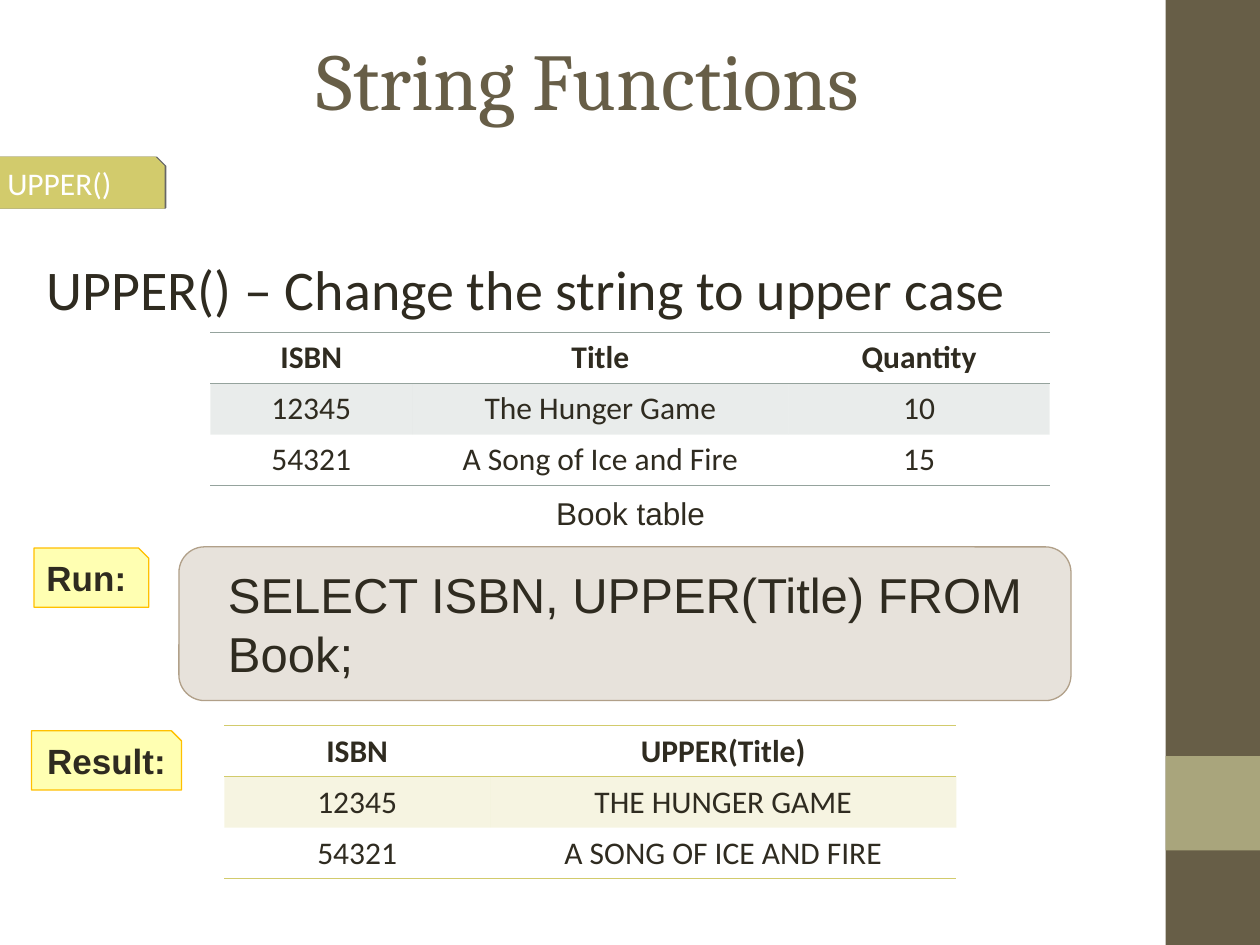
from lxml.etree import SubElement
from pptx import Presentation
from pptx.dml.color import RGBColor
from pptx.enum.shapes import MSO_SHAPE
from pptx.enum.text import MSO_ANCHOR, PP_ALIGN
from pptx.oxml import parse_xml
from pptx.oxml.ns import nsdecls, qn
from pptx.util import Inches, Pt

BROWN = RGBColor(0x67, 0x5E, 0x47)
SAGE = RGBColor(0xA9, 0xA5, 0x7C)
OLIVE = RGBColor(0xD2, 0xCB, 0x6C)
GREY_GREEN = RGBColor(0x95, 0xA3, 0x9D)
TAN = RGBColor(0xB1, 0xA0, 0x89)
YELLOW = RGBColor(0xFF, 0xFF, 0x00)
AMBER = RGBColor(0xFF, 0xC0, 0x00)
INK = RGBColor(0x2F, 0x2B, 0x20)
WHITE = RGBColor(0xFF, 0xFF, 0xFF)

NO_TABLE_STYLE = "{2D5ABB26-0587-4C30-8999-92F81FD0307C}"


def write(frame, text, size=18, font="Calibri", color=INK, bold=False,
          align=PP_ALIGN.LEFT, anchor=MSO_ANCHOR.MIDDLE, inset=0.1):
    frame.word_wrap = True
    frame.vertical_anchor = anchor
    frame.margin_left = Inches(inset)
    paragraph = frame.paragraphs[0]
    paragraph.alignment = align
    run = paragraph.add_run()
    run.text = text
    run.font.size = Pt(size)
    run.font.name = font
    run.font.bold = bold
    run.font.color.rgb = color


def add_text(slide, box, text, **style):
    label = slide.shapes.add_textbox(*map(Inches, box))
    write(label.text_frame, text, **style)


def set_fill(fill, color, opacity=100):
    fill.solid()
    fill.fore_color.rgb = color
    if opacity < 100:
        for color_node in fill._xPr.iter(qn("a:srgbClr")):
            SubElement(color_node, qn("a:alpha"), val=str(opacity * 1000))


def paint(shape, color, opacity=100, line=None, line_width=0.75):
    shape.shadow.inherit = False
    set_fill(shape.fill, color, opacity)
    if line is None:
        shape.line.fill.background()
    else:
        shape.line.color.rgb = line
        shape.line.width = Pt(line_width)


def add_block(slide, kind, box, color, **look):
    block = slide.shapes.add_shape(kind, *map(Inches, box))
    paint(block, color, **look)
    return block


def add_snipped_tag(slide, box, snip, color, **look):
    """Rectangle whose top right corner is cut off."""
    left, top, width, height = box
    right, bottom = left + width, top + height
    outline = slide.shapes.build_freeform(
        Inches(left), Inches(top), scale=1.0)
    corners = [(right - snip, top), (right, top + snip),
               (right, bottom), (left, bottom)]
    outline.add_line_segments(
        [(Inches(x), Inches(y)) for x, y in corners], close=True)
    tag = outline.convert_to_shape()
    paint(tag, color, **look)
    return tag


def add_right_shadow(shape):
    effects = shape._element.spPr.find(qn("a:effectLst"))
    effects.append(parse_xml(
        f'<a:outerShdw {nsdecls("a")} dist="{Pt(1)}" dir="0">'
        '<a:srgbClr val="000000"><a:alpha val="60000"/></a:srgbClr>'
        '</a:outerShdw>'))


def set_borders(cell, color, visible):
    properties = cell._tc.get_or_add_tcPr()
    for position, side in enumerate(("lnL", "lnR", "lnT", "lnB")):
        stroke = (f'<a:solidFill><a:srgbClr val="{color}"/></a:solidFill>'
                  if side in visible else '<a:noFill/>')
        properties.insert(position, parse_xml(
            f'<a:{side} {nsdecls("a")} w="{Pt(0.45)}">{stroke}</a:{side}>'))


def add_ruled_table(slide, left, top, column_widths, rows, color):
    row_height = 0.405
    frame = slide.shapes.add_table(
        len(rows), len(column_widths), Inches(left), Inches(top),
        Inches(sum(column_widths)), Inches(row_height * len(rows)))
    table = frame.table
    for style_id in table._tbl.iter(qn("a:tableStyleId")):
        style_id.text = NO_TABLE_STYLE
    for column, width in zip(table.columns, column_widths):
        column.width = Inches(width)
    for r, row in enumerate(rows):
        table.rows[r].height = Inches(row_height)
        # Rules above and below the header, and under the last row
        sides = {0: ("lnT", "lnB"), 1: ("lnT",)}.get(r, ())
        if r == len(rows) - 1:
            sides += ("lnB",)
        for c, text in enumerate(row):
            cell = table.cell(r, c)
            write(cell.text_frame, text, bold=r == 0,
                  align=PP_ALIGN.CENTER, anchor=MSO_ANCHOR.TOP)
            set_borders(cell, color, sides)
            if r % 2:
                set_fill(cell.fill, color, 20)
            else:
                cell.fill.background()


def main():
    deck = Presentation()
    deck.slide_width, deck.slide_height = Inches(10), Inches(7.5)
    slide = deck.slides.add_slide(deck.slide_layouts[6])

    # Side band
    add_block(slide, MSO_SHAPE.RECTANGLE, (9.25, 0, 0.75, 7.5), BROWN)
    add_block(slide, MSO_SHAPE.RECTANGLE, (9.25, 6, 0.75, 0.75), SAGE)

    # Heading, function tag and description
    add_text(slide, (0.5, 0, 8.33, 1.25), "String Functions", size=46,
             font="Cambria", color=BROWN, align=PP_ALIGN.CENTER)
    function_tag = add_snipped_tag(slide, (-0.04, 1.25, 1.34, 0.4), 0.07,
                                   OLIVE, line=OLIVE, line_width=1)
    add_right_shadow(function_tag)
    write(function_tag.text_frame, "UPPER()", color=WHITE)
    add_text(slide, (0.27, 1.97, 9.47, 1.15),
             "UPPER() – Change the string to upper case",
             size=32, anchor=MSO_ANCHOR.TOP)

    # Query
    query = add_block(slide, MSO_SHAPE.ROUNDED_RECTANGLE,
                      (1.42, 4.34, 7.08, 1.22), TAN, opacity=30, line=TAN)
    write(query.text_frame, "SELECT ISBN, UPPER(Title) FROM Book;",
          size=28, font="Arial", inset=0.33)

    # Result and source tables
    add_ruled_table(slide, 1.78, 5.76, (2.11, 3.7), [
        ("ISBN", "UPPER(Title)"),
        ("12345", "THE HUNGER GAME"),
        ("54321", "A SONG OF ICE AND FIRE"),
    ], OLIVE)
    add_ruled_table(slide, 1.67, 2.64, (1.6, 2.99, 2.07), [
        ("ISBN", "Title", "Quantity"),
        ("12345", "The Hunger Game", "10"),
        ("54321", "A Song of Ice and Fire", "15"),
    ], GREY_GREEN)
    add_text(slide, (3.9, 3.87, 2.21, 0.4), "Book table", font="Arial",
             align=PP_ALIGN.CENTER, anchor=MSO_ANCHOR.TOP)

    # Step labels
    for text, box, align in (
            ("Result:", (0.25, 5.8, 1.19, 0.47), PP_ALIGN.CENTER),
            ("Run:", (0.27, 4.35, 0.91, 0.47), PP_ALIGN.LEFT)):
        step = add_snipped_tag(slide, box, 0.08, YELLOW,
                               opacity=30, line=AMBER)
        write(step.text_frame, text, size=20, font="Arial", bold=True,
              align=align)

    deck.save("out.pptx")


if __name__ == "__main__":
    main()
